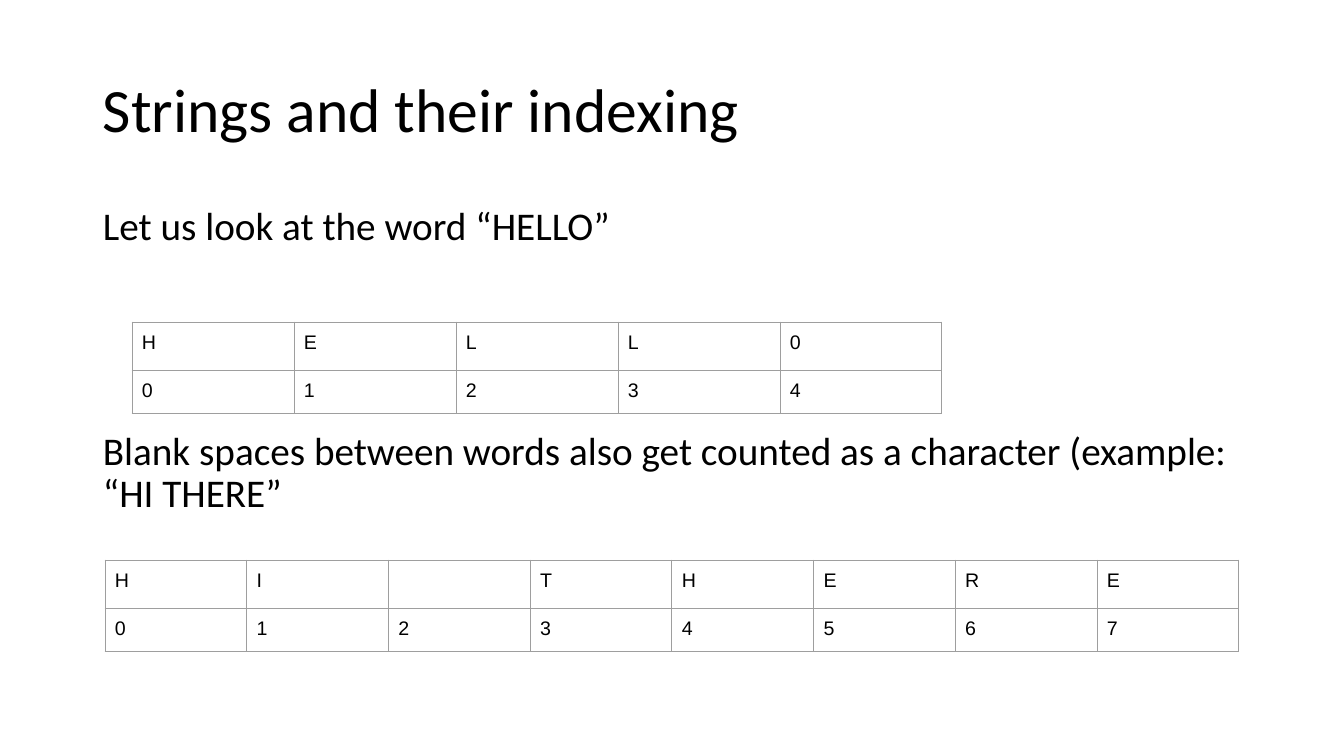
from dataclasses import dataclass

from pptx import Presentation
from pptx.dml.color import RGBColor
from pptx.enum.text import MSO_ANCHOR
from pptx.oxml.ns import qn
from pptx.util import Emu, Pt
from lxml import etree

MIDDLE, TOP = MSO_ANCHOR.MIDDLE, MSO_ANCHOR.TOP
EMU_PER_PX = 914400 / 100.8
COLORS = {"text": "000000", "border": "9E9E9E"}
ROW_HEIGHTS = (48, 42)
CELL_MARGIN = 10


@dataclass
class TextBlock:
    top: int
    height: int
    size: int
    anchor: MSO_ANCHOR
    lines: tuple[str, ...]
    gap: int = 0


@dataclass
class IndexTable:
    left: int
    top: int
    width: int
    word: str


TEXTS = [
    TextBlock(40, 146, 44, MIDDLE, ("Strings and their indexing",)),
    TextBlock(202, 480, 28, TOP, (
        "Let us look at the word “HELLO”",
        "Blank spaces between words also get counted as a character (example: “HI THERE”",
    ), gap=130),
]
TABLES = [
    IndexTable(132, 322, 810, "HELL0"),
    IndexTable(105, 560, 1134, "HI THERE"),
]


def px(n: float) -> Emu:
    return Emu(round(n * EMU_PER_PX))


def set_font(p, name: str, size: int) -> None:
    p.font.name = name
    p.font.size = Pt(size)
    p.font.color.rgb = RGBColor.from_string(COLORS["text"])


def add_text(s, block: TextBlock) -> None:
    tf = s.shapes.add_textbox(px(93), px(block.top), px(1159), px(block.height)).text_frame
    tf.word_wrap = True
    tf.vertical_anchor = block.anchor
    for i, line in enumerate(block.lines):
        p = tf.paragraphs[0] if i == 0 else tf.add_paragraph()
        p.text = line
        p.line_spacing = 0.9
        p.space_before = Pt(block.gap if i else 0)
        set_font(p, "Calibri", block.size)


def add_borders(cell) -> None:
    tc_pr = cell._tc.get_or_add_tcPr()
    for side in ("a:lnL", "a:lnR", "a:lnT", "a:lnB"):
        ln = etree.SubElement(tc_pr, qn(side), w=str(Pt(0.75)))
        fill = etree.SubElement(ln, qn("a:solidFill"))
        etree.SubElement(fill, qn("a:srgbClr"), val=COLORS["border"])


def add_index_table(s, spec_table: IndexTable) -> None:
    """Draw each character of the word above its index."""
    word = spec_table.word
    table = s.shapes.add_table(
        2, len(word), px(spec_table.left), px(spec_table.top),
        px(spec_table.width), px(sum(ROW_HEIGHTS))).table
    table.first_row = table.horz_banding = False
    for row, height in zip(table.rows, ROW_HEIGHTS):
        row.height = px(height)
    for col, char in enumerate(word):
        for row, value in enumerate((char.strip(), str(col))):
            cell = table.cell(row, col)
            cell.margin_left = cell.margin_right = px(CELL_MARGIN)
            cell.margin_top = cell.margin_bottom = px(CELL_MARGIN)
            add_borders(cell)
            cell.fill.background()
            p = cell.text_frame.paragraphs[0]
            p.text = value
            set_font(p, "Arial", 14)


def main() -> None:
    prs = Presentation()
    prs.slide_width, prs.slide_height = px(1344), px(756)
    s = prs.slides.add_slide(prs.slide_layouts[6])
    for block in TEXTS:
        add_text(s, block)
    for index_table in TABLES:
        add_index_table(s, index_table)
    prs.save("out.pptx")


if __name__ == "__main__":
    main()
